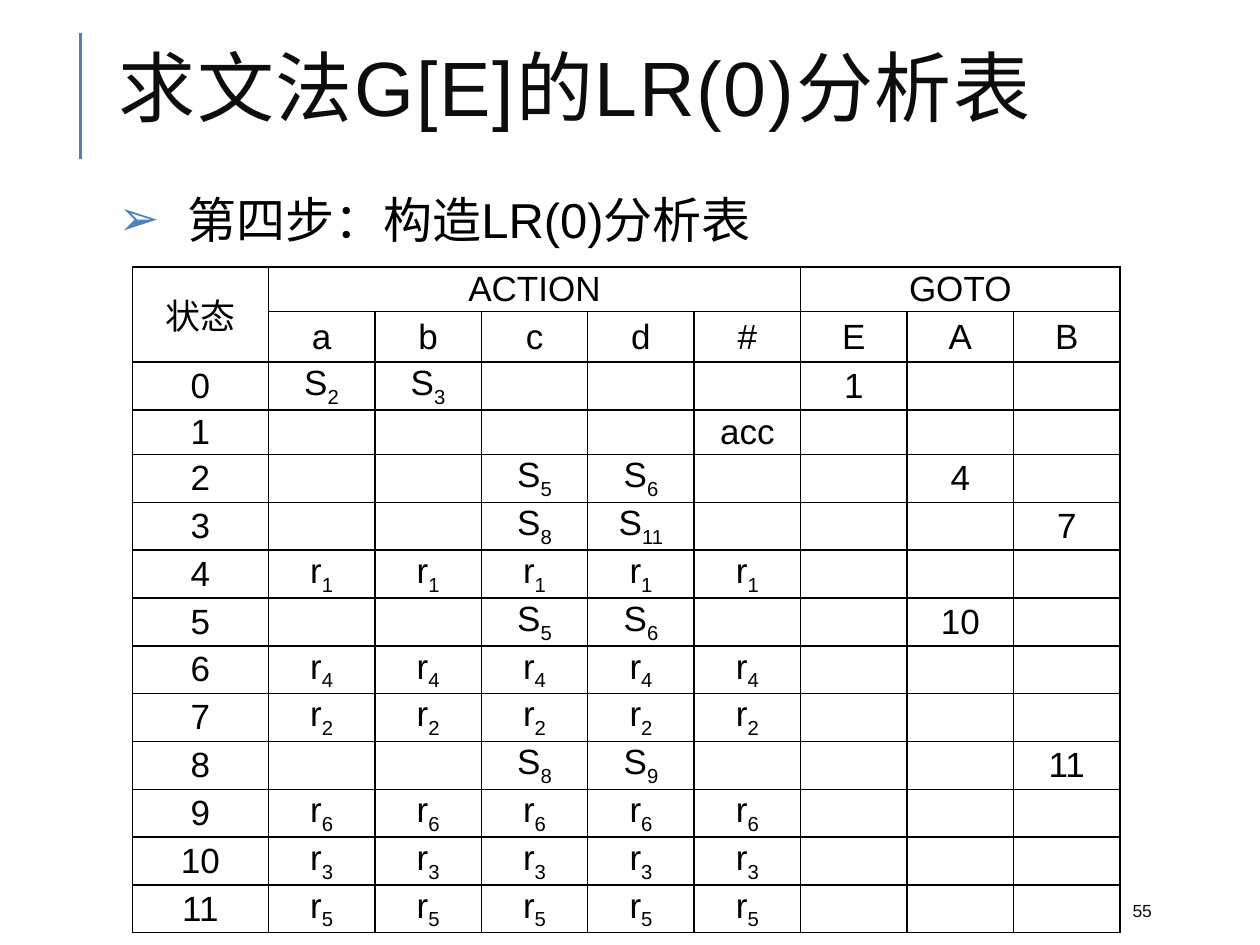
from lxml.etree import SubElement
from pptx import Presentation
from pptx.dml.color import RGBColor
from pptx.enum.shapes import MSO_CONNECTOR as Connector
from pptx.enum.text import MSO_ANCHOR as Anchor, MSO_AUTO_SIZE as AutoSize, PP_ALIGN as Align
from pptx.oxml.ns import qn
from pptx.util import Inches, Pt

BLUE, BLACK, DARK, WHITE = "4F81BD", "000000", "0D0D0D", "FFFFFF"
SYMBOLS = ["a", "b", "c", "d", "#", "E", "A", "B"]
TERMINALS = SYMBOLS[:5]


def reduce_by(rule):
    return {symbol: f"r{rule}" for symbol in TERMINALS}


# One entry per state: the filled cells by symbol
STATES = [
    {"a": "S2", "b": "S3", "E": "1"},
    {"#": "acc"},
    {"c": "S5", "d": "S6", "A": "4"},
    {"c": "S8", "d": "S11", "B": "7"},
    reduce_by(1),
    {"c": "S5", "d": "S6", "A": "10"},
    reduce_by(4),
    reduce_by(2),
    {"c": "S8", "d": "S9", "B": "11"},
    reduce_by(6),
    reduce_by(3),
    reduce_by(5),
]


def color(hex_code):
    return RGBColor.from_string(hex_code)


def style_font(font, size, hex_code):
    font.name = "Arial"
    font.size = Pt(size)
    font.color.rgb = color(hex_code)


def place(shape, left, top, width, height):
    shape.left, shape.top = Inches(left), Inches(top)
    shape.width, shape.height = Inches(width), Inches(height)


def add_accent_line(slide):
    accent = slide.shapes.add_connector(
        Connector.STRAIGHT, Inches(0.64), Inches(1.26), Inches(0.64), Inches(0.26))
    accent.line.color.rgb = color(BLUE)
    accent.line.width = Pt(1.5)
    SubElement(accent._element.spPr, qn("a:effectLst"))


def fill_title(title):
    place(title, 0.84, 0.26, 8.5, 0.98)
    frame = title.text_frame
    frame.text = "求文法G[E]的LR(0)分析表"
    frame.auto_size = AutoSize.NONE
    frame.vertical_anchor = Anchor.MIDDLE
    heading = frame.paragraphs[0]
    heading.alignment = Align.LEFT
    heading.line_spacing = 0.8
    style_font(heading.font, 44, DARK)
    heading.runs[0].font._element.set("spc", "100")


def fill_step(body):
    place(body, 0.84, 1.45, 8.5, 1.02)
    frame = body.text_frame
    frame.text = "第四步：构造LR(0)分析表"
    frame.auto_size = AutoSize.NONE
    step = frame.paragraphs[0]
    step.space_before, step.space_after = Pt(0), Pt(6)
    # Hanging arrow bullet
    props = step._element.get_or_add_pPr()
    props.set("marL", str(Inches(0.55)))
    props.set("indent", str(-Inches(0.55)))
    bullet_color = SubElement(props, qn("a:buClr"))
    SubElement(bullet_color, qn("a:srgbClr"), val=BLUE)
    SubElement(props, qn("a:buFont"), typeface="Arial")
    SubElement(props, qn("a:buChar"), char="➢")
    style_font(step.font, 28, BLACK)


def add_page_number(slide):
    number = slide.shapes.add_textbox(
        Inches(8.89), Inches(7.08), Inches(0.8), Inches(0.3))
    frame = number.text_frame
    frame.word_wrap = True
    frame.vertical_anchor = Anchor.MIDDLE
    frame.text = "55"
    style_font(frame.paragraphs[0].font, 10, DARK)


def style_cell(cell):
    cell.margin_left = cell.margin_right = Inches(0.07)
    cell.margin_top = cell.margin_bottom = 0
    cell.vertical_anchor = Anchor.MIDDLE
    props = cell._tc.get_or_add_tcPr()
    for side in ("lnL", "lnR", "lnT", "lnB"):
        border = SubElement(props, qn(f"a:{side}"), w=str(Pt(1)))
        stroke = SubElement(border, qn("a:solidFill"))
        SubElement(stroke, qn("a:srgbClr"), val=BLACK)
    cell.fill.solid()
    cell.fill.fore_color.rgb = color(WHITE)


def write_cell(cell, text):
    """Write an entry; the number after S or r becomes a subscript."""
    entry = cell.text_frame.paragraphs[0]
    entry.alignment = Align.CENTER
    style_font(entry.font, 20, BLACK)
    if text[0] in "Sr":
        entry.add_run().text = text[0]
        index = entry.add_run()
        index.text = text[1:]
        index.font._element.set("baseline", "-25000")
    else:
        entry.add_run().text = text


def add_parsing_table(slide):
    rows, cols = len(STATES) + 2, len(SYMBOLS) + 1
    table = slide.shapes.add_table(
        rows, cols, Inches(1.05), Inches(2.12), Inches(7.84), Inches(4.96)).table
    table.first_row = table.horz_banding = False
    for number, column in enumerate(table.columns):
        column.width = Inches(0.845 if number else 1.08)
    for row in table.rows:
        row.height = Inches(4.96 / rows)
    table.rows[1].height = Inches(0.4)
    for cell in table.iter_cells():
        style_cell(cell)

    # Headings
    goto = len(TERMINALS) + 1
    for text, first, last in (("状态", (0, 0), (1, 0)),
                              ("ACTION", (0, 1), (0, goto - 1)),
                              ("GOTO", (0, goto), (0, cols - 1))):
        table.cell(*first).merge(table.cell(*last))
        write_cell(table.cell(*first), text)
    for col, symbol in enumerate(SYMBOLS, 1):
        write_cell(table.cell(1, col), symbol)

    # States
    for state, entries in enumerate(STATES):
        write_cell(table.cell(state + 2, 0), str(state))
        for symbol, text in entries.items():
            write_cell(table.cell(state + 2, SYMBOLS.index(symbol) + 1), text)


def main():
    deck = Presentation()
    deck.slide_width, deck.slide_height = Inches(10), Inches(7.5)
    slide = deck.slides.add_slide(deck.slide_layouts[1])
    add_accent_line(slide)
    add_page_number(slide)
    fill_title(slide.shapes.title)
    fill_step(slide.placeholders[1])
    add_parsing_table(slide)
    deck.save("out.pptx")


if __name__ == "__main__":
    main()
